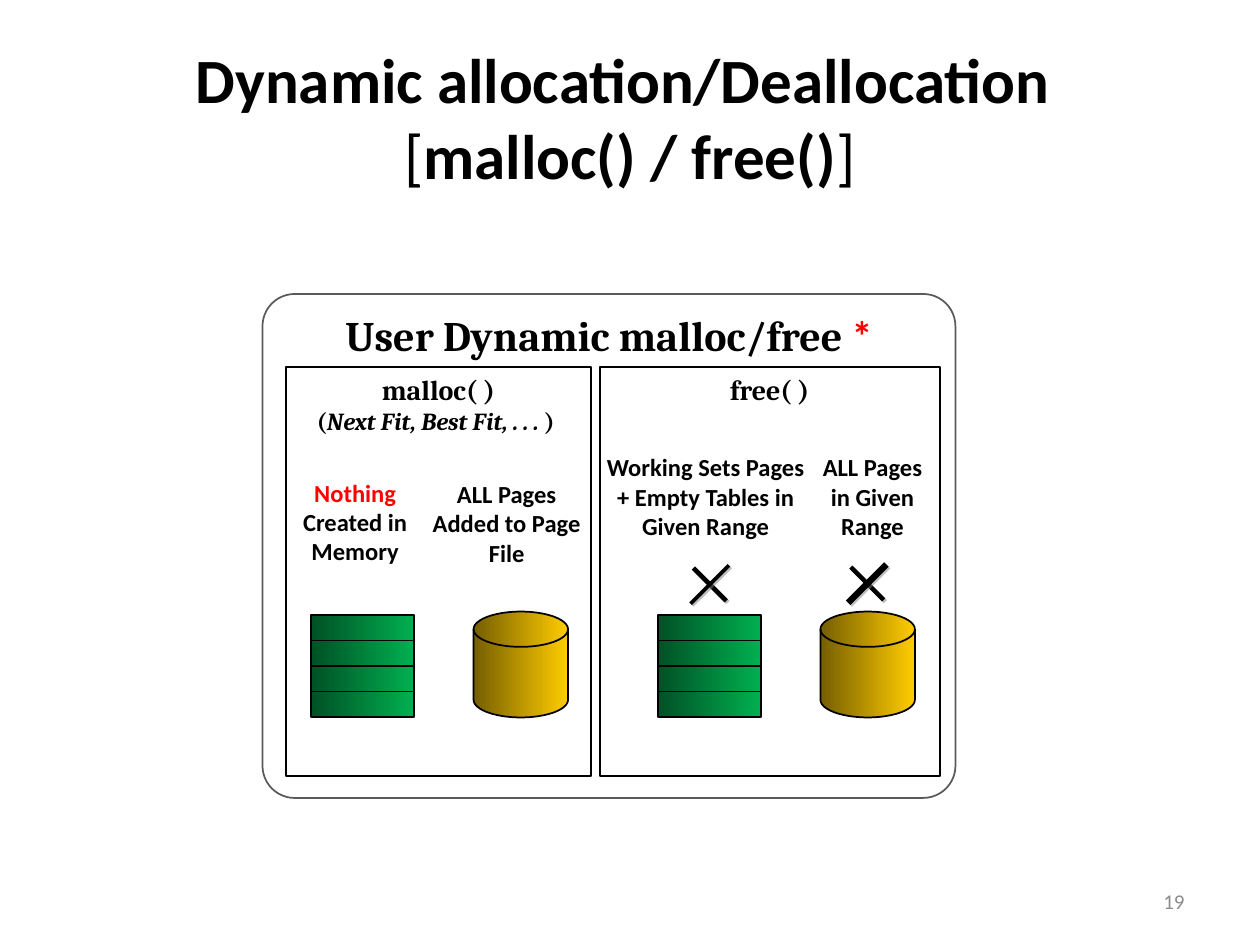
import pptx
import pptx.util
import pptx.dml.color
import pptx.enum.shapes
import pptx.enum.text
import pptx.oxml
import pptx.oxml.ns

Pt = pptx.util.Pt
KIND = pptx.enum.shapes.MSO_SHAPE
ALIGN = pptx.enum.text.PP_ALIGN
ANCHOR = pptx.enum.text.MSO_ANCHOR
BLACK, RED, WHITE = "000000", "FF0000", "FFFFFF"
GREEN = ("005125", "00B050")
GOLD = ("765E00", "FFCC00")


def paint(color, value):
    color.rgb = pptx.dml.color.RGBColor.from_string(value)


def shape(slide, kind, box, fill, line=BLACK):
    item = slide.shapes.add_shape(kind, *map(Pt, box))
    item.shadow.inherit = False
    if isinstance(fill, tuple):
        item.fill.gradient()
        item.fill.gradient_angle = 0
        for stop, value in zip(item.fill.gradient_stops, fill):
            paint(stop.color, value)
    else:
        item.fill.solid()
        paint(item.fill.fore_color, fill)
    if line:
        paint(item.line.color, line)
        item.line.width = Pt(1)
    else:
        item.line.fill.background()
    return item


def write(item, lines, size, name="Calibri", color=BLACK, bold=True,
          align=ALIGN.CENTER, anchor=ANCHOR.TOP, inset=(7.2, 3.6)):
    frame = item.text_frame
    frame.word_wrap = True
    frame.vertical_anchor = anchor
    frame.margin_left = frame.margin_right = Pt(inset[0])
    frame.margin_top = frame.margin_bottom = Pt(inset[1])
    para = frame.paragraphs[0]
    para.alignment = align
    para.font.size = Pt(size)
    para.font.name = name
    para.font.bold = bold
    paint(para.font.color, color)
    for row, parts in enumerate(lines):
        if row:
            para.add_line_break()
        for text, style in parts:
            run = para.add_run()
            run.text = text
            for key, value in style.items():
                if key == "color":
                    paint(run.font.color, value)
                else:
                    setattr(run.font, key, value)


def label(slide, box, lines, size, **style):
    write(slide.shapes.add_textbox(*map(Pt, box)), lines, size, **style)


def panel(slide, left, width, lines):
    item = shape(slide, KIND.RECTANGLE, (left, 209.5, width, 234), WHITE)
    write(item, lines, 16, name="Cambria", inset=(1.44, 3.6))


def stack(slide, left):
    for row in range(4):
        top = 351.4 + row * 14.6
        shape(slide, KIND.RECTANGLE, (left, top, 59, 14.6), GREEN)


def disk(slide, left):
    shape(slide, KIND.FLOWCHART_MAGNETIC_DISK, (left, 349.5, 54, 60.5), GOLD)


def shade(item):
    node = pptx.oxml.parse_xml(
        '<a:outerShdw %s blurRad="0" dist="17780" dir="2700000">'
        '<a:srgbClr val="7F7F7F"><a:alpha val="50000"/></a:srgbClr>'
        '</a:outerShdw>' % pptx.oxml.ns.nsdecls("a"))
    item._element.spPr.find(pptx.oxml.ns.qn("a:effectLst")).append(node)


def cross(slide, x, y, thick):
    for wide, high, turn in ((26.6, 2.6, 45), (31, thick, 315)):
        box = (x - wide / 2, y - high / 2, wide, high)
        bar = shape(slide, KIND.RECTANGLE, box, BLACK, None)
        bar.rotation = turn
        shade(bar)


def main():
    deck = pptx.Presentation()
    deck.slide_width, deck.slide_height = Pt(720), Pt(540)
    slide = deck.slides.add_slide(deck.slide_layouts[6])

    label(slide, (36, 21.6, 648, 90),
          [[("Dynamic allocation/Deallocation ", {})],
           [("[", {"bold": False}), ("malloc() / free()", {}),
            ("]", {"bold": False})]], 36, anchor=ANCHOR.MIDDLE)
    label(slide, (516, 500.5, 168, 28.75), [[("19", {})]], 12,
          color="8C8C8C", bold=False, align=ALIGN.RIGHT,
          anchor=ANCHOR.MIDDLE)

    frame = shape(slide, KIND.ROUNDED_RECTANGLE, (150, 168, 396, 288),
                  WHITE, "5A5A5A")
    frame.adjustments[0] = 0.064
    write(frame, [[("User Dynamic malloc/free ", {}),
                   ("*", {"name": "Calibri", "color": RED})]],
          24, name="Cambria")

    small = {"size": Pt(14)}
    panel(slide, 163.4, 174.4,
          [[("malloc( )", {})],
           [("(", small),
            ("Next Fit, Best Fit, . . .", {**small, "italic": True}),
            (" ) ", small)]])
    panel(slide, 342.7, 194.4, [[("free( )", {})]])

    for left in (177.8, 376):
        stack(slide, left)
        disk(slide, left + 92.8)
    cross(slide, 405.6, 334, 2.2)
    cross(slide, 495.6, 333.5, 3.6)

    notes = (
        ((163.4, 270, 79.2, 67.7), 2.88,
         [("Nothing", {"color": RED}), (" Created in Memory", {})]),
        ((243.4, 270.7, 92.2, 64.8), 2.88,
         [("ALL Pages Added to Page File", {})]),
        ((346.3, 258.5, 113.8, 79.2), 0,
         [("Working Sets Pages + Empty Tables in Given Range", {})]),
        ((463.7, 258.5, 69.8, 59.8), 0,
         [("ALL Pages in Given Range", {})]),
    )
    for box, gap, parts in notes:
        label(slide, box, [parts], 14, inset=(gap, gap))

    deck.save("out.pptx")


if __name__ == "__main__":
    main()
